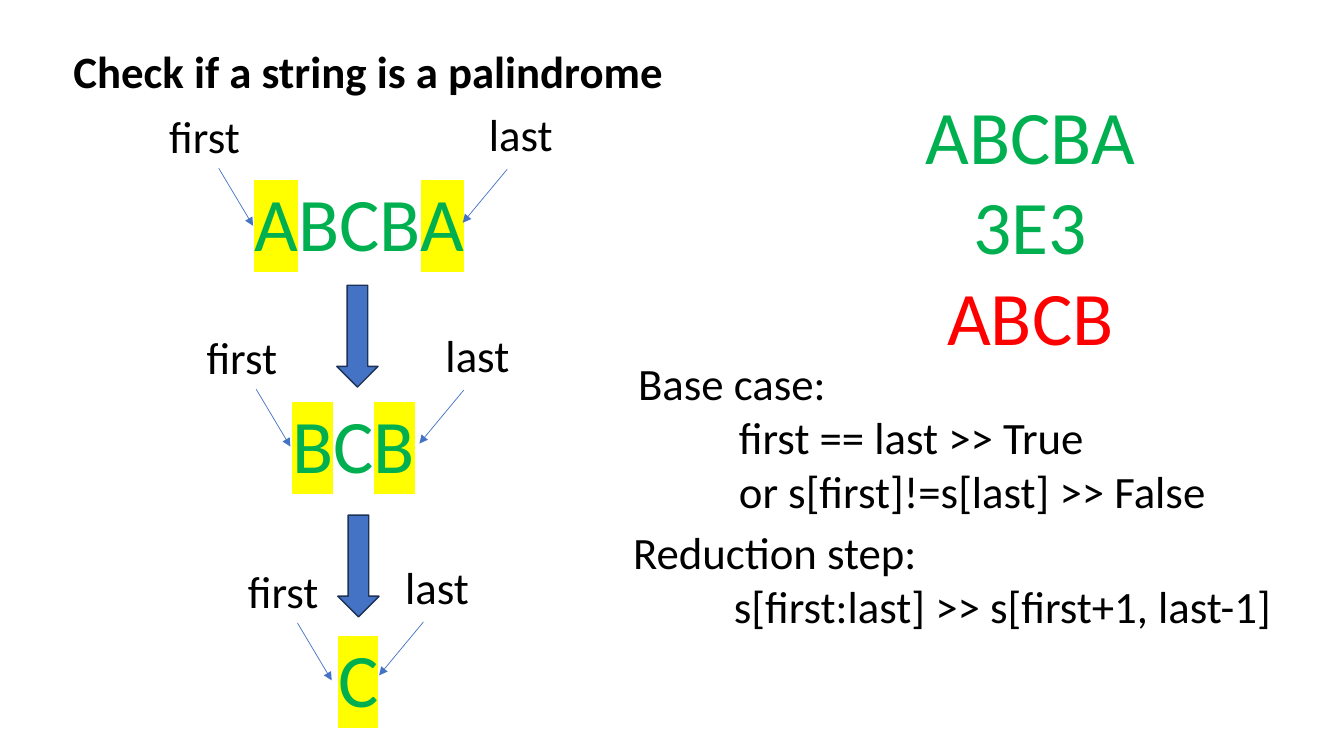
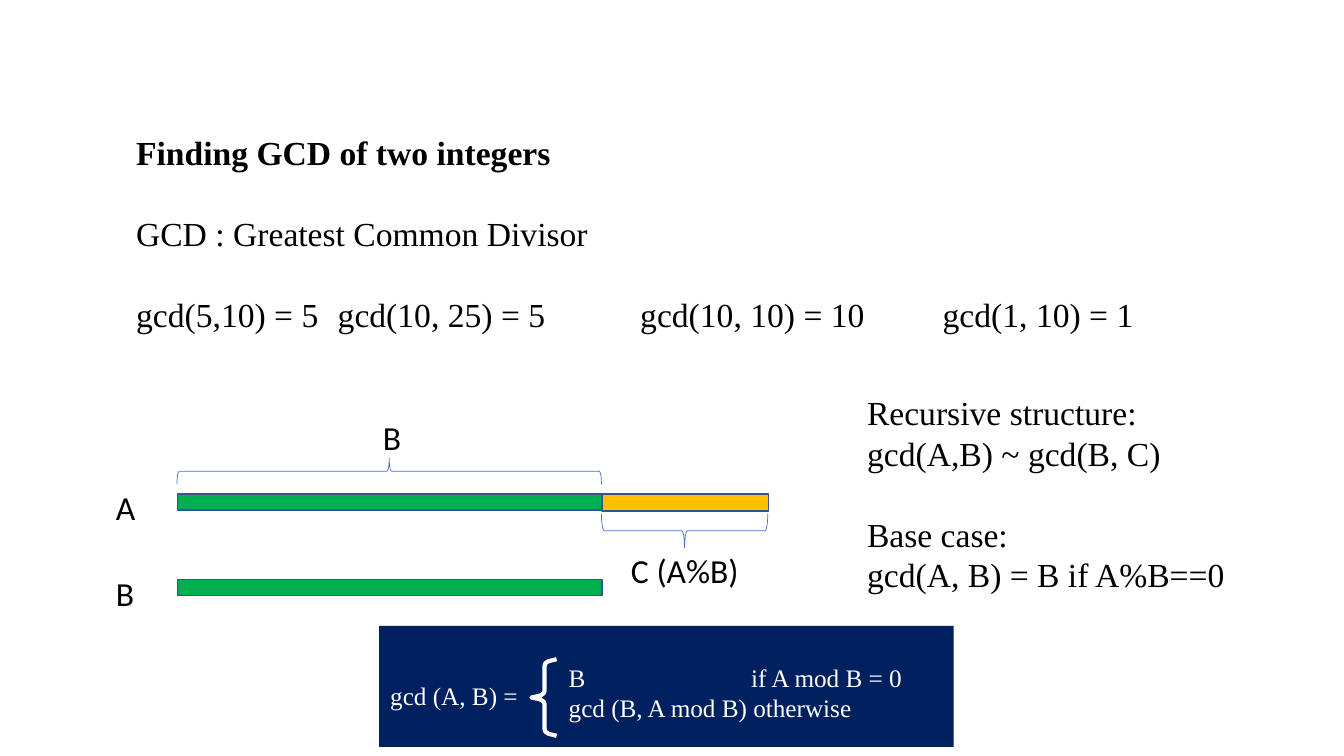
from lxml import etree
from pptx import Presentation
from pptx import util as u
from pptx.dml.color import RGBColor
from pptx.enum import shapes, text
from pptx.oxml.ns import qn

PX = 9144  # EMU per px, 100 px to the inch
SANS, SERIF = "Calibri", "Times New Roman"
BLACK, WHITE, BLUE, NAVY = "000000", "FFFFFF", "4472C4", "002060"
GREEN, RED, YELLOW, AMBER = "00B050", "FF0000", "FFFF00", "FFC000"
ARROW_EDGE, BAR_EDGE = "1E3256", "325491"
SERIF_LINE = 28.9
KIND = shapes.MSO_SHAPE


def emu(*lengths):
    return [u.Emu(length * PX) for length in lengths]


def rgb(color):
    return RGBColor.from_string(color)


class Board:
    """Holds the deck, its style and the current slide."""

    base = {"name": SANS, "size": 32, "color": BLACK, "bold": False}
    serif = {"name": SERIF, "size": 24, "inset": (60, 5, 10, 5), "spacing": SERIF_LINE}

    def __init__(self):
        self.deck = Presentation()
        self.deck.slide_width, self.deck.slide_height = emu(1333, 750)

    def new_slide(self):
        self.slide = self.deck.slides.add_slide(self.deck.slide_layouts[6])

    def span(self, para, words, style):
        """Add one run in the given style."""
        span = para.add_run()
        span.text = words
        span.font.color.rgb = rgb(style["color"])
        if "highlight" in style:
            mark = etree.Element(qn("a:highlight"))
            etree.SubElement(mark, qn("a:srgbClr"), val=style["highlight"])
            span._r.rPr.find(qn("a:solidFill")).addnext(mark)
        values = {"name": style["name"], "size": u.Pt(style["size"]), "bold": style["bold"]}
        for key, value in values.items():
            setattr(span.font, key, value)

    def text(self, at, paras, wrap=True, inset=None, align=None, spacing=None,
             gaps=None, tabs=(), fill=None, **style):
        """Paragraphs are strings or lists of (words, format) pairs."""
        box = self.slide.shapes.add_textbox(*emu(*at))
        if fill:
            box.fill.solid()
            box.fill.fore_color.rgb = rgb(fill)
        frame = box.text_frame
        frame.word_wrap = wrap
        frame.auto_size = text.MSO_AUTO_SIZE.SHAPE_TO_FIT_TEXT
        if inset:
            for side, length in zip(("left", "top", "right", "bottom"), emu(*inset)):
                setattr(frame, "margin_" + side, length)
        for index, spans in enumerate(paras):
            para = frame.add_paragraph() if index else frame.paragraphs[0]
            para.alignment = align
            if spacing:
                para.line_spacing = u.Pt(spacing)
            if gaps and index in gaps:
                para.space_before = u.Pt(gaps[index])
            if tabs:
                stops = etree.SubElement(para._p.get_or_add_pPr(), qn("a:tabLst"))
                for tab in tabs:
                    etree.SubElement(stops, qn("a:tab"), pos=str(tab * PX), algn="l")
            if isinstance(spans, str):
                spans = [(spans, {})]
            for words, extra in spans:
                self.span(para, words, {**self.base, **style, **extra})

    def paint(self, shape, fill, edge, width):
        shape.shadow.inherit = False
        if fill:
            shape.fill.solid()
            shape.fill.fore_color.rgb = rgb(fill)
        else:
            shape.fill.background()
        if edge:
            shape.line.color.rgb = rgb(edge)
            shape.line.width = u.Pt(width)
        else:
            shape.line.fill.background()

    def shape(self, kind, at, fill=None, edge=None, width=1, turn=0):
        shape = self.slide.shapes.add_shape(kind, *emu(*at))
        shape.rotation = turn
        self.paint(shape, fill, edge, width)

    def outline(self, points, fill, edge, width):
        """Open outline through the points."""
        builder = self.slide.shapes.build_freeform(*points[0], scale=PX)
        builder.add_line_segments(points[1:], close=False)
        self.paint(builder.convert_to_shape(), fill, edge, width)

    def pointer(self, start, end):
        line = self.slide.shapes.add_connector(
            shapes.MSO_CONNECTOR.STRAIGHT, *emu(*start, *end))
        line.line.color.rgb = rgb(BLUE)
        line.line.width = u.Pt(0.5)
        etree.SubElement(line.get_or_add_ln(), qn("a:tailEnd"), type="triangle")
        etree.SubElement(line._element.spPr, qn("a:effectLst"))


def palindrome_slide(board):
    board.new_slide()
    center = text.PP_ALIGN.CENTER
    board.text((63, 38, 659, 64), ["Check if a string is a palindrome"], bold=True)

    # Sample strings
    samples = [("ABCBA", GREEN), ("3E3", GREEN), ("ABCB", RED)]
    board.text((907, 83, 230, 283), [[(word, {"color": color})] for word, color in samples],
               wrap=False, align=center, size=54)

    # Reduction steps: word, its box corner, corners of the two labels
    marked = {"highlight": YELLOW}
    steps = [
        ([("A", marked), ("BCB", {}), ("A", marked)], (23, 170), (158, 103), (475, 101)),
        ([("B", marked), ("C", {}), ("B", marked)], (17, 390), (195, 322), (432, 320)),
        ([("C", marked)], (22, 622), (236, 554), (392, 550)),
    ]
    for word, corner, first, last in steps:
        board.text((*corner, 667, 101), [word], align=center, size=54, color=GREEN)
        ends = [("first", first, (59, 64), (93, 121)), ("last", last, (28, 67), (-16, 120))]
        for label, (x, y), tail, head in ends:
            board.text((x, y, 118, 64), [label])
            board.pointer((x + tail[0], y + tail[1]), (x + head[0], y + head[1]))
    for x, y in [(304, 313), (305, 541)]:
        board.shape(KIND.RIGHT_ARROW, (x, y, 101, 41), BLUE, ARROW_EDGE, turn=90)

    # Recursion rules
    rules = [
        ((623, 348, 589, 172), ["Base case:", "\tfirst == last >> True",
                                "\tor s[first]!=s[last] >> False"]),
        ((618, 516, 662, 118), ["Reduction step:", "\ts[first:last] >> s[first+1, last-1]"]),
    ]
    for at, lines in rules:
        board.text(at, lines, wrap=False, tabs=[100])


def gcd_slide(board):
    board.new_slide()

    # Heading and examples
    board.text((75, 126, 1120, 212), [
        [("Finding GCD of two integers", {"bold": True})],
        "GCD : Greatest Common Divisor",
        "gcd(5,10) = 5\tgcd(10, 25) = 5\tgcd(10, 10) = 10\tgcd(1, 10) = 1",
    ], tabs=[200, 500, 800], gaps={1: SERIF_LINE, 2: SERIF_LINE}, **board.serif)

    # Bars for A and B
    left, shared, rest = 176, 421, 165
    for x, y, width, height, fill in [(left, 575, shared, 16, GREEN),
                                      (left, 490, shared, 16, GREEN),
                                      (left + shared, 490, rest, 17, AMBER)]:
        board.shape(KIND.RECTANGLE, (x, y, width, height), fill, BAR_EDGE)
    for at, turn in [((373, 257, 26, shared), 90), ((662, 444, 34, rest), 270)]:
        board.shape(KIND.LEFT_BRACE, at, edge=BLUE, width=0.5, turn=turn)
    for label, x, y, width in [("A", 105, 478, 40), ("B", 105, 563, 38),
                               ("B", 370, 409, 38), ("C (A%B)", 616, 541, 128)]:
        board.text((x, y, width, 50), [label], wrap=False, size=24)

    # Recursive structure
    board.text((800, 384, 436, 212), ["Recursive structure:", "gcd(A,B) ~ gcd(B, C)",
                                      "Base case:", "gcd(A, B) = B if A%B==0"],
               gaps={2: SERIF_LINE}, **board.serif)

    # Definition panel, with a brace mirrored about its middle
    board.shape(KIND.RECTANGLE, (376, 621, 570, 120), NAVY)
    formula = {"name": SERIF, "size": 18, "color": WHITE, "fill": NAVY, "inset": (0, 2, 0, 0)}
    board.text((387, 673, 131, 32), ["gcd (A, B) ="], **formula)
    middle = 692
    upper = [(552, 654), (548, 655), (544, 656), (541, 658), (540, 661),
             (540, 686), (539, 688), (536, 690), (532, 691)]
    lower = [(x, 2 * middle - y) for x, y in reversed(upper)]
    board.outline(upper + [(527, middle)] + lower, NAVY, WHITE, 3)
    board.text((564, 656, 345, 60), ["B\tif A mod B = 0", "gcd (B, A mod B) otherwise"],
               spacing=21.3, tabs=[181], **formula)


def main():
    board = Board()
    palindrome_slide(board)
    gcd_slide(board)
    board.deck.save("out.pptx")


if __name__ == "__main__":
    main()
